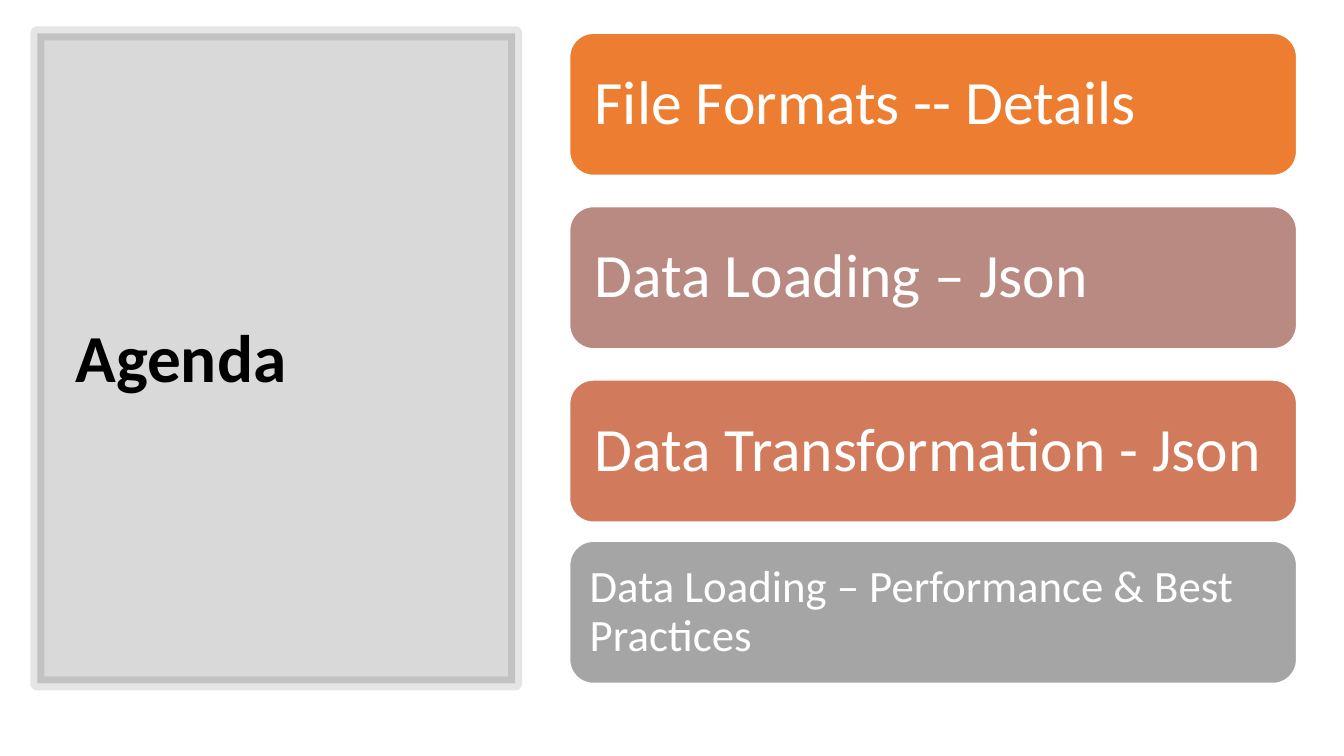
"""Build the agenda slide: a shaded title panel beside four topic cards."""
from dataclasses import dataclass

from lxml.etree import SubElement
from pptx import Presentation
from pptx.dml.color import RGBColor
from pptx.enum.shapes import MSO_SHAPE
from pptx.enum.text import MSO_ANCHOR, PP_ALIGN
from pptx.oxml.ns import qn
from pptx.shapes.autoshape import Shape
from pptx.slide import Slide
from pptx.util import Inches, Pt


@dataclass(frozen=True)
class Theme:
    """Colours, font and type sizes."""
    font: str = "Calibri"
    black: str = "000000"
    white: str = "FFFFFF"
    orange: str = "ED7D31"
    rose: str = "B98A82"
    rust: str = "D17B5C"
    grey: str = "A5A5A5"
    title: int = 48
    large: int = 44
    small: int = 32


@dataclass(frozen=True)
class Box:
    """Place of a shape in inches."""
    left: float
    top: float
    width: float
    height: float


@dataclass(frozen=True)
class Card:
    """One topic on the agenda."""
    text: str
    top: float
    fill: str
    size: int
    inset: float


THEME = Theme()
PANEL = Box(0.37, 0.33, 4.74, 6.45)
TITLE = Box(0.65, 0.7, 4.16, 5.75)
LEFT, WIDTH, HEIGHT = 5.65, 7.21, 1.41
CARDS = [
    Card("File Formats -- Details", 0.33, THEME.orange, THEME.large, 0.18),
    Card("Data Loading – Json", 2.05, THEME.rose, THEME.large, 0.18),
    Card("Data Transformation - Json", 3.77, THEME.rust, THEME.large, 0.18),
    Card("Data Loading – Performance & Best Practices", 5.37,
         THEME.grey, THEME.small, 0.13),
]


def span(box: Box) -> tuple[int, ...]:
    """Return the box as slide lengths."""
    return tuple(Inches(v) for v in (box.left, box.top, box.width, box.height))


def draw(slide: Slide, kind: MSO_SHAPE, box: Box, *, fill: str, line: str,
         weight: float) -> Shape:
    """Draw a filled and outlined shape."""
    shape = slide.shapes.add_shape(kind, *span(box))
    shape.shadow.inherit = False
    shape.fill.solid()
    shape.fill.fore_color.rgb = RGBColor.from_string(fill)
    shape.line.color.rgb = RGBColor.from_string(line)
    shape.line.width = Pt(weight)
    return shape


def write(shape: Shape, text: str, *, size: int, color: str,
          bold: bool = False, inset: float = 0.1) -> None:
    """Write left-aligned text, centred in height."""
    frame = shape.text_frame
    frame.word_wrap = True
    frame.vertical_anchor = MSO_ANCHOR.MIDDLE
    frame.margin_left = frame.margin_right = Inches(inset)
    frame.margin_top = frame.margin_bottom = Inches(inset)
    para = frame.paragraphs[0]
    para.alignment = PP_ALIGN.LEFT
    para.line_spacing = 0.9
    run = para.add_run()
    run.text = text
    run.font.name = THEME.font
    run.font.size = Pt(size)
    run.font.bold = bold
    run.font.color.rgb = RGBColor.from_string(color)


def fade(shape: Shape, fill: int, line: int) -> None:
    """Set the opacity of fill and line in percent."""
    colors = shape.element.spPr.iter(qn("a:srgbClr"))
    for color, share in zip(colors, (fill, line)):
        SubElement(color, qn("a:alpha"), val=str(share * 1000))


def main() -> None:
    """Build and save the slide."""
    deck = Presentation()
    deck.slide_width, deck.slide_height = Inches(13.33), Inches(7.5)
    slide = deck.slides.add_slide(deck.slide_layouts[6])
    panel = draw(slide, MSO_SHAPE.RECTANGLE, PANEL,
                 fill=THEME.black, line=THEME.black, weight=10)
    fade(panel, fill=15, line=10)
    write(slide.shapes.add_textbox(*span(TITLE)), "Agenda",
          size=THEME.title, color=THEME.black, bold=True)
    for card in CARDS:
        shape = draw(slide, MSO_SHAPE.ROUNDED_RECTANGLE,
                     Box(LEFT, card.top, WIDTH, HEIGHT),
                     fill=card.fill, line=THEME.white, weight=1)
        write(shape, card.text, size=card.size, color=THEME.white,
              inset=card.inset)
    deck.save("out.pptx")


if __name__ == "__main__":
    main()
